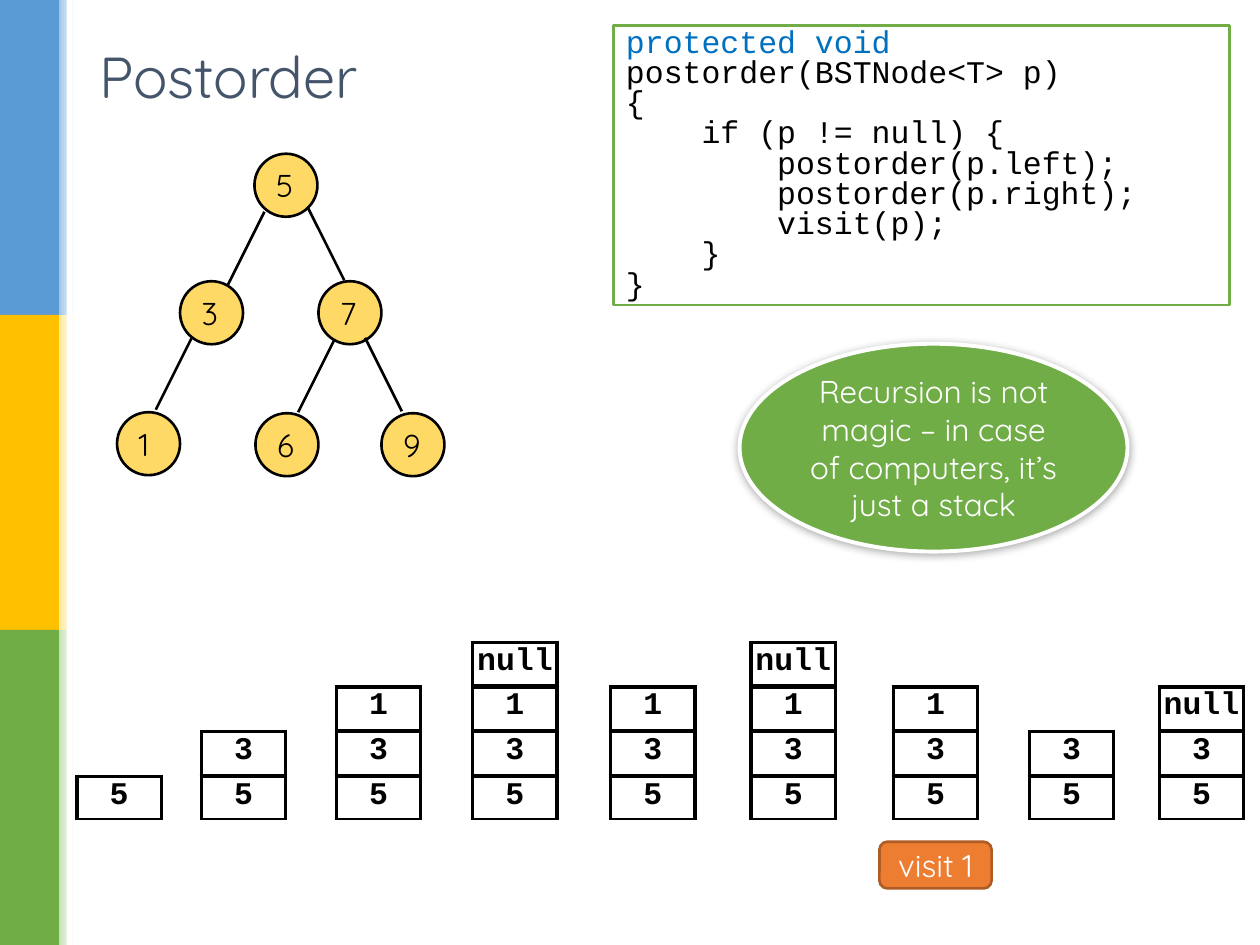
import lxml.etree
import pptx
import pptx.dml.color
import pptx.enum.shapes
import pptx.enum.text
import pptx.oxml.ns
import pptx.util

Cm = pptx.util.Cm
Pt = pptx.util.Pt
qn = pptx.oxml.ns.qn
SHAPE = pptx.enum.shapes.MSO_SHAPE
ALIGN = pptx.enum.text.PP_ALIGN
MIDDLE = pptx.enum.text.MSO_ANCHOR.MIDDLE

COLORS = {
    "blue": "5B9BD5", "light_blue": "9DC3E6",
    "gold": "FFC000", "light_gold": "FFE699",
    "green": "70AD47", "light_green": "C5E0B4",
    "white": "FFFFFF", "black": "000000", "title": "44546A",
    "keyword": "0070C0", "node": "FFD966",
    "orange": "ED7D31", "dark_orange": "AF5C24",
}
BODY_FONT = "Quicksand"
CODE_FONT = "Courier New"


def rgb(name):
    return pptx.dml.color.RGBColor.from_string(COLORS[name])


def add_element(parent, tag, **attributes):
    element = lxml.etree.SubElement(parent, qn(tag))
    for key, value in attributes.items():
        element.set(key, str(value))
    return element


def add_run(paragraph, text, color, font=BODY_FONT, size=18, bold=False):
    run = paragraph.add_run()
    run.text = text
    run.font.name = font
    run.font.size = Pt(size)
    run.font.bold = bold
    run.font.color.rgb = rgb(color)


def add_block(slide, kind, left, top, width, height, fill, line=None, weight=1.5):
    shape = slide.shapes.add_shape(kind, Cm(left), Cm(top), Cm(width), Cm(height))
    shape.shadow.inherit = False
    shape.fill.solid()
    shape.fill.fore_color.rgb = rgb(fill)
    if line:
        shape.line.color.rgb = rgb(line)
        shape.line.width = Pt(weight)
    else:
        shape.line.fill.background()
    shape.text_frame.vertical_anchor = MIDDLE
    return shape


def add_label(shape, text, color, align=ALIGN.CENTER):
    paragraph = shape.text_frame.paragraphs[0]
    paragraph.alignment = align
    add_run(paragraph, text, color)


def draw_sidebar(slide, left, top, width, height):
    band_width, band_height = 1.19, height / 3
    for row, color in enumerate(("blue", "gold", "green")):
        y = top + row * band_height
        add_block(slide, SHAPE.RECTANGLE, left, y, band_width, band_height, color)
        fade = add_block(slide, SHAPE.RECTANGLE, left + band_width, y,
                         width - band_width, band_height, color)
        fade.fill.gradient()
        fade.fill.gradient_angle = 0
        for stop, stop_color in zip(fade.fill.gradient_stops, ("light_" + color, "white")):
            stop.color.rgb = rgb(stop_color)
    add_block(slide, SHAPE.RECTANGLE, left + 1.35, top, 0.1, height, "white")


def draw_title(slide, left, top, width, height):
    box = slide.shapes.add_textbox(Cm(left), Cm(top), Cm(width), Cm(height))
    box.text_frame.word_wrap = True
    box.text_frame.vertical_anchor = MIDDLE
    add_run(box.text_frame.paragraphs[0], "Postorder", "title", size=33)


def draw_code(slide, left, top, width, height):
    box = add_block(slide, SHAPE.RECTANGLE, left, top, width, height, "white", "green")
    frame = box.text_frame
    frame.word_wrap = True
    lines = [
        (0, [("protected void ", "keyword"), ("postorder(BSTNode<T> p)", "black")]),
        (0, [("{", "black")]),
        (1, [("if (p != null) {", "black")]),
        (2, [("postorder(p.left);", "black")]),
        (2, [("postorder(p.right);", "black")]),
        (2, [("visit(p);", "black")]),
        (1, [("}", "black")]),
        (0, [("}", "black")]),
    ]
    indent = Pt(43.2)
    for number, (depth, runs) in enumerate(lines):
        paragraph = frame.add_paragraph() if number else frame.paragraphs[0]
        paragraph.alignment = ALIGN.LEFT
        paragraph.line_spacing = 0.8
        paragraph._p.get_or_add_pPr().set("marL", str(depth * indent))
        for text, color in runs:
            add_run(paragraph, text, color, CODE_FONT)


def draw_tree(slide, left, top):
    nodes = [("5", 2.77, 0), ("3", 1.27, 2.57), ("7", 4.06, 2.57),
             ("1", 0, 5.21), ("6", 2.79, 5.23), ("9", 5.33, 5.23)]
    edges = [(2.97, 1.17, -1), (3.84, 1.07, 1), (1.52, 3.68, -1),
             (4.39, 3.73, -1), (5, 3.71, 1)]
    diameter, run, drop = 1.27, 0.74, 1.48
    for text, x, y in nodes:
        node = add_block(slide, SHAPE.OVAL, left + x, top + y, diameter, diameter,
                         "node", "black")
        node.text_frame.word_wrap = False
        add_label(node, text, "black", ALIGN.LEFT)
    for x, y, direction in edges:
        edge = slide.shapes.add_connector(
            pptx.enum.shapes.MSO_CONNECTOR.STRAIGHT, Cm(left + x), Cm(top + y),
            Cm(left + x + direction * run), Cm(top + y + drop))
        edge.line.color.rgb = rgb("black")
        edge.line.width = Pt(1.5)
        add_element(edge._element.spPr, "a:effectLst")


def draw_frame(slide, left, top, width, height, text):
    table = slide.shapes.add_table(1, 1, Cm(left), Cm(top), Cm(width), Cm(height)).table
    table.first_row = False
    table.horz_banding = False
    cell = table.cell(0, 0)
    cell.margin_left = cell.margin_right = Cm(0.03)
    cell.margin_top = cell.margin_bottom = Cm(0.03)
    properties = cell._tc.get_or_add_tcPr()
    for side, weight in (("L", 2.25), ("R", 2.25), ("T", 2.25), ("B", 1)):
        border = add_element(properties, "a:ln" + side, w=Pt(weight))
        add_element(add_element(border, "a:solidFill"), "a:srgbClr", val=COLORS["black"])
    cell.fill.background()
    paragraph = cell.text_frame.paragraphs[0]
    paragraph.alignment = ALIGN.CENTER
    spacing = add_element(paragraph._p.get_or_add_pPr(), "a:spcBef")
    add_element(spacing, "a:spcPct", val=20000)
    add_run(paragraph, text, "black", CODE_FONT, bold=True)


def draw_stack(slide, left, bottom, values):
    width, height, step = 1.7, 0.86, 0.9
    for level, value in enumerate(values):
        draw_frame(slide, left, bottom - height - level * step, width, height, value)


def draw_call_stacks(slide, bottom):
    stacks = [
        (1.55, "5"), (4.06, "5 3"), (6.78, "5 3 1"), (9.53, "5 3 1 null"),
        (12.31, "5 3 1"), (15.14, "5 3 1 null"), (18.01, "5 3 1"),
        (20.75, "5 3"), (23.37, "5 3 null"),
    ]
    for left, values in stacks:
        draw_stack(slide, left, bottom, values.split())


def draw_visit(slide, left, top, width, height):
    badge = add_block(slide, SHAPE.ROUNDED_RECTANGLE, left, top, width, height,
                      "orange", "dark_orange")
    add_label(badge, "visit 1", "white")


def draw_remark(slide, left, top, width, height):
    remark = add_block(slide, SHAPE.OVAL, left, top, width, height, "green", "white", 2.25)
    remark.text_frame.word_wrap = True
    add_label(remark, "Recursion is not magic – in case of computers, it’s just a stack", "white")
    effects = remark._element.spPr.find(qn("a:effectLst"))
    shadow = add_element(effects, "a:outerShdw", blurRad=Pt(5), dist=Pt(1),
                         dir=5400000, rotWithShape=0)
    color = add_element(shadow, "a:srgbClr", val=COLORS["black"])
    add_element(color, "a:alpha", val=32000)


def main():
    presentation = pptx.Presentation()
    presentation.slide_width = Cm(25.4)
    presentation.slide_height = Cm(19.05)
    slide = presentation.slides.add_slide(presentation.slide_layouts[6])
    draw_sidebar(slide, 0, 0, 1.5, 19.05)
    draw_title(slide, 1.75, 0.66, 21.9, 1.73)
    draw_code(slide, 12.37, 0.51, 12.42, 5.64)
    draw_tree(slide, 2.36, 3.1)
    draw_call_stacks(slide, 16.51)
    draw_visit(slide, 17.73, 16.97, 2.26, 0.94)
    draw_remark(slide, 14.91, 6.93, 7.82, 4.19)
    presentation.save("out.pptx")


if __name__ == "__main__":
    main()
